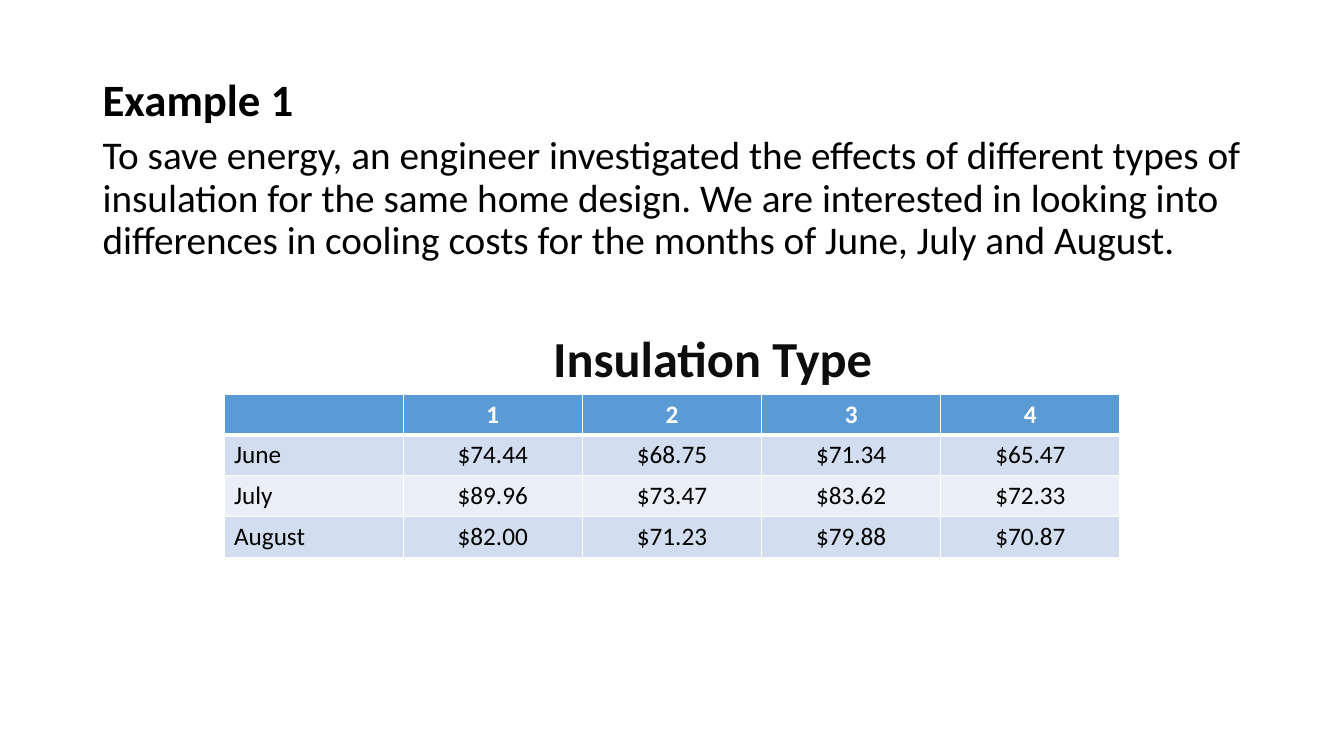
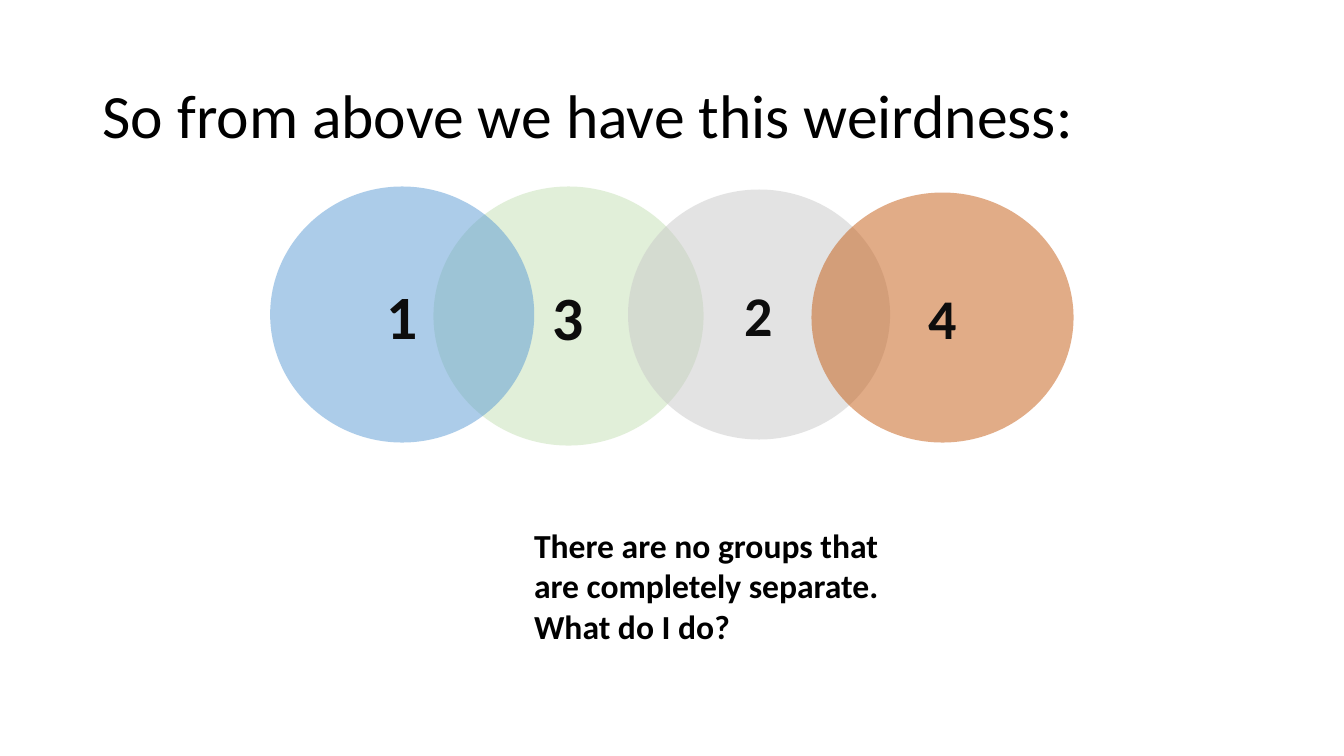
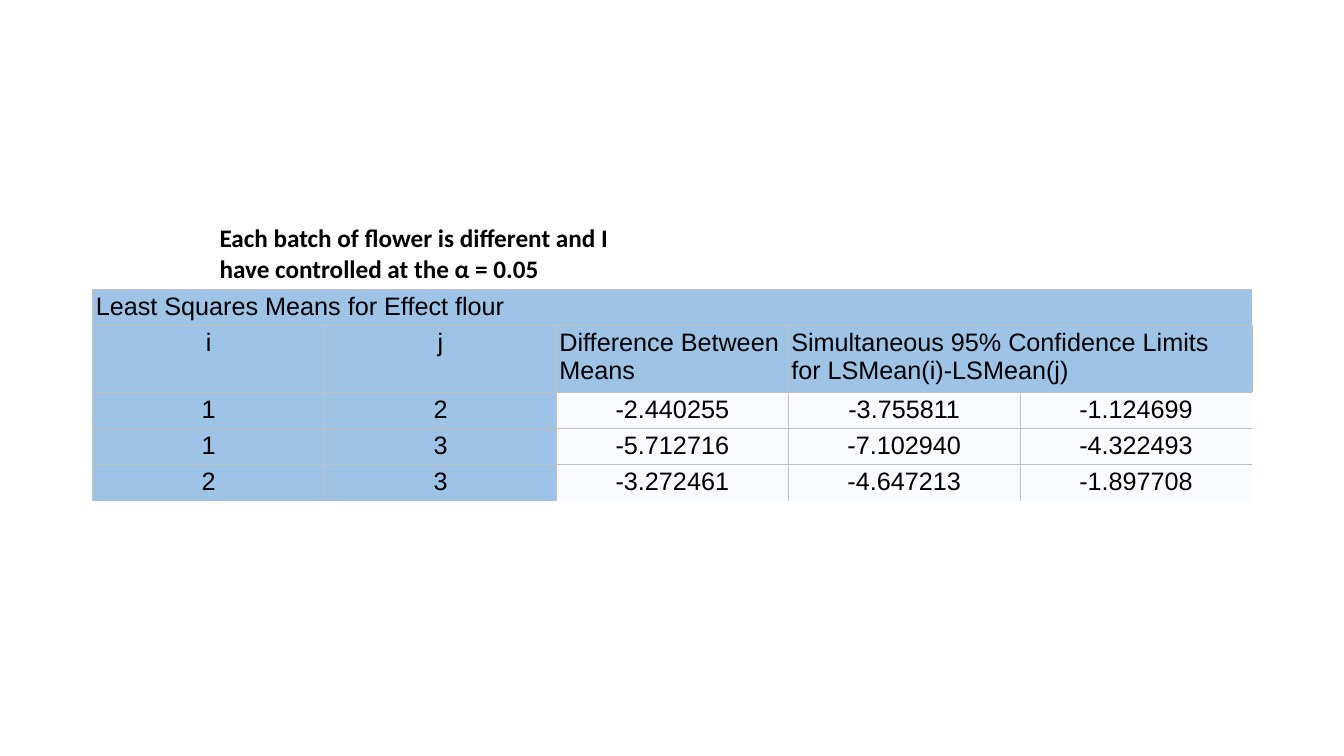
from dataclasses import dataclass

from lxml import etree
from pptx import Presentation
from pptx.dml.color import RGBColor
from pptx.enum.shapes import MSO_SHAPE
from pptx.enum.text import MSO_ANCHOR, PP_ALIGN
from pptx.oxml.ns import qn
from pptx.util import Inches, Pt

LEFT = PP_ALIGN.LEFT
CENTER = PP_ALIGN.CENTER
MIDDLE = MSO_ANCHOR.MIDDLE
OVAL = MSO_SHAPE.OVAL

SLIDE_WIDTH = Inches(40 / 3)
SLIDE_HEIGHT = Inches(7.5)
BODY_LEFT = 6.9
BODY_WIDTH = 86.25

BODY_FONT = "Calibri"
OUTPUT_FONT = "Arial"
BLACK = "000000"
INK = "0D0D0D"
WHITE = "FFFFFF"
BLUE = "5B9BD5"
PALE_BLUE = "9DC3E6"
BAND_DARK = "D2DEEF"
BAND_LIGHT = "EAEFF7"
NEAR_WHITE = "FAFBFE"
GRAY_RULE = "C1C1C1"
GREEN = "C5E0B4"
GRAY = "C9C9C9"
ORANGE = "C55A11"

COSTS = [
    ["", "1", "2", "3", "4"],
    ["June", "$74.44", "$68.75", "$71.34", "$65.47"],
    ["July", "$89.96", "$73.47", "$83.62", "$72.33"],
    ["August", "$82.00", "$71.23", "$79.88", "$70.87"],
]
FLOUR_MEANS = [
    ["Least Squares Means for Effect flour", "", "", "", ""],
    ["i", "j", "Difference Between\nMeans",
     "Simultaneous 95% Confidence Limits\nfor LSMean(i)-LSMean(j)", ""],
    ["1", "2", "-2.440255", "-3.755811", "-1.124699"],
    ["1", "3", "-5.712716", "-7.102940", "-4.322493"],
    ["2", "3", "-3.272461", "-4.647213", "-1.897708"],
]
GROUPS = [
    ("3", 44, GREEN, (32.25, 24.67, 20.1, 34.27)),
    ("2", 40, GRAY, (46.73, 25.07, 19.5, 33.07)),
    ("1", 44, BLUE, (20.1, 24.67, 19.65, 33.87)),
    ("4", 40, ORANGE, (60.38, 25.47, 19.5, 33.07)),
]


@dataclass
class CellStyle:
    """Look of one table cell; borders hold colour and points by side."""
    fill: str
    borders: dict
    align: int = CENTER
    font: str = BODY_FONT
    color: str = BLACK
    bold: bool = False
    margin: float = 0


def rgb(color):
    """Turn a hex string into a colour."""
    return RGBColor.from_string(color)


def across(share):
    """Return a percentage of the slide's width."""
    return int(SLIDE_WIDTH * share / 100)


def down(share):
    """Return a percentage of the slide's height."""
    return int(SLIDE_HEIGHT * share / 100)


def place(left, top, width, height):
    """Turn a box in percentages into slide lengths."""
    return across(left), down(top), across(width), down(height)


def write(paragraph, text, size, color=BLACK, bold=False, font=BODY_FONT, align=LEFT):
    """Add text to a paragraph, one run for each line."""
    paragraph.alignment = align
    for index, line in enumerate(text.split("\n")):
        if index:
            paragraph.add_line_break()
        run = paragraph.add_run()
        run.text = line
        run.font.name = font
        run.font.size = Pt(size)
        run.font.bold = bold
        run.font.color.rgb = rgb(color)


def add_text(slide, box, text, size, color=BLACK, bold=True, wrap=True, spacing=None):
    """Add a text box with one paragraph."""
    frame = slide.shapes.add_textbox(*place(*box)).text_frame
    frame.word_wrap = wrap
    paragraph = frame.paragraphs[0]
    paragraph.line_spacing = spacing
    write(paragraph, text, size, color, bold)


def add_body(slide, top, height, text, size):
    """Add plain body text over the full content width."""
    add_text(slide, (BODY_LEFT, top, BODY_WIDTH, height), text, size,
             bold=False, spacing=0.9)


def add_circle(slide, box, text, size, color):
    """Add a half-transparent circle with a label."""
    circle = slide.shapes.add_shape(OVAL, *place(*box))
    circle.shadow.inherit = False
    circle.line.fill.background()
    circle.fill.solid()
    circle.fill.fore_color.rgb = rgb(color)
    fill_color = circle.fill._xPr.find(".//" + qn("a:srgbClr"))
    etree.SubElement(fill_color, qn("a:alpha"), val="50000")
    circle.text_frame.vertical_anchor = MIDDLE
    write(circle.text_frame.paragraphs[0], text, size, INK, True, align=CENTER)


def set_borders(cell, borders):
    """Draw the given sides of a cell and clear the others."""
    properties = cell._tc.get_or_add_tcPr()
    for side in "LRTB":
        line = etree.SubElement(properties, qn("a:ln" + side))
        if side in borders:
            color, points = borders[side]
            line.set("w", str(Pt(points)))
            fill = etree.SubElement(line, qn("a:solidFill"))
            etree.SubElement(fill, qn("a:srgbClr"), val=color)
        else:
            etree.SubElement(line, qn("a:noFill"))


def fill_cell(cell, text, style):
    """Apply a style to a cell and write its text."""
    set_borders(cell, style.borders)
    cell.fill.solid()
    cell.fill.fore_color.rgb = rgb(style.fill)
    if style.margin:
        cell.margin_left = cell.margin_right = Inches(style.margin)
        cell.margin_top = cell.margin_bottom = Inches(style.margin)
    if text:
        write(cell.text_frame.paragraphs[0], text, 18, style.color, style.bold,
              style.font, style.align)


def add_table(slide, left, top, width, heights, rows, style_for, spans=()):
    """Add a table of equal columns, styled by row and column number."""
    box = place(left, top, width, sum(heights))
    table = slide.shapes.add_table(len(rows), len(rows[0]), *box).table
    table.first_row = table.horz_banding = False
    for row, height in zip(table.rows, heights):
        row.height = down(height)
    for row, texts in enumerate(rows):
        for column, text in enumerate(texts):
            fill_cell(table.cell(row, column), text, style_for(row, column))
    for row, first, last in spans:
        table.cell(row, first).merge(table.cell(row, last))


def cost_style(row, column):
    """Style the cost table: blue header, banded rows."""
    borders = {side: (WHITE, 1) for side in "LRTB"}
    if row == 0:
        borders["B"] = (WHITE, 3)
        return CellStyle(BLUE, borders, color=WHITE, bold=True)
    if row == 1:
        borders["T"] = (WHITE, 3)
    return CellStyle(BAND_DARK if row % 2 else BAND_LIGHT, borders,
                     CENTER if column else LEFT)


def flour_style(row, column):
    """Style the flour table: blue headers, open right and bottom edges."""
    last_row, last_column = len(FLOUR_MEANS) - 1, len(FLOUR_MEANS[0]) - 1
    open_sides = {"R": column == last_column or row == 0, "B": row == last_row}
    borders = {side: (GRAY_RULE, 0.5) for side in "LRTB" if not open_sides.get(side)}
    is_header = row < 2 or column < 2
    is_left = row == 0 or (row == 1 and column >= 2)
    return CellStyle(PALE_BLUE if is_header else NEAR_WHITE, borders,
                     LEFT if is_left else CENTER, OUTPUT_FONT, margin=0.03)


def build_costs(slide):
    """Build the insulation example."""
    add_body(slide, 17.33, 72.8,
             "To save energy, an engineer investigated the effects of different types "
             "of insulation for the same home design. We are interested in looking into "
             "differences in cooling costs for the months of June, July and August.", 28)
    add_table(slide, 16.67, 52.13, 66.67, [5.4] * len(COSTS), COSTS, cost_style)
    add_text(slide, (40.43, 42.67, 25.57, 9.47), "Insulation Type", 36, INK, wrap=False)
    add_text(slide, (BODY_LEFT, 8.8, 15.83, 8.53), "Example 1", 32, wrap=False)


def build_groups(slide):
    """Build the overlapping groups."""
    add_body(slide, 10.67, 79.47, "So from above we have this weirdness:", 44)
    for label, size, color, box in GROUPS:
        add_circle(slide, box, label, size, color)
    add_text(slide, (39, 68.8, 30.23, 17.47),
             "There are no groups that are completely separate. What do I do?", 24)


def build_flour(slide):
    """Build the flour comparison."""
    add_table(slide, BODY_LEFT, 38.27, BODY_WIDTH, [4.64, 8.47] + [4.64] * 3,
              FLOUR_MEANS, flour_style, spans=[(0, 0, 4), (1, 3, 4)])
    add_text(slide, (15.6, 28.8, 34.43, 9.47),
             "Each batch of flower is different and I have controlled at the α = 0.05", 18)


def main():
    """Build and save the presentation."""
    presentation = Presentation()
    presentation.slide_width = SLIDE_WIDTH
    presentation.slide_height = SLIDE_HEIGHT
    blank = presentation.slide_layouts[6]
    for build in (build_costs, build_groups, build_flour):
        build(presentation.slides.add_slide(blank))
    presentation.save("out.pptx")


if __name__ == "__main__":
    main()
